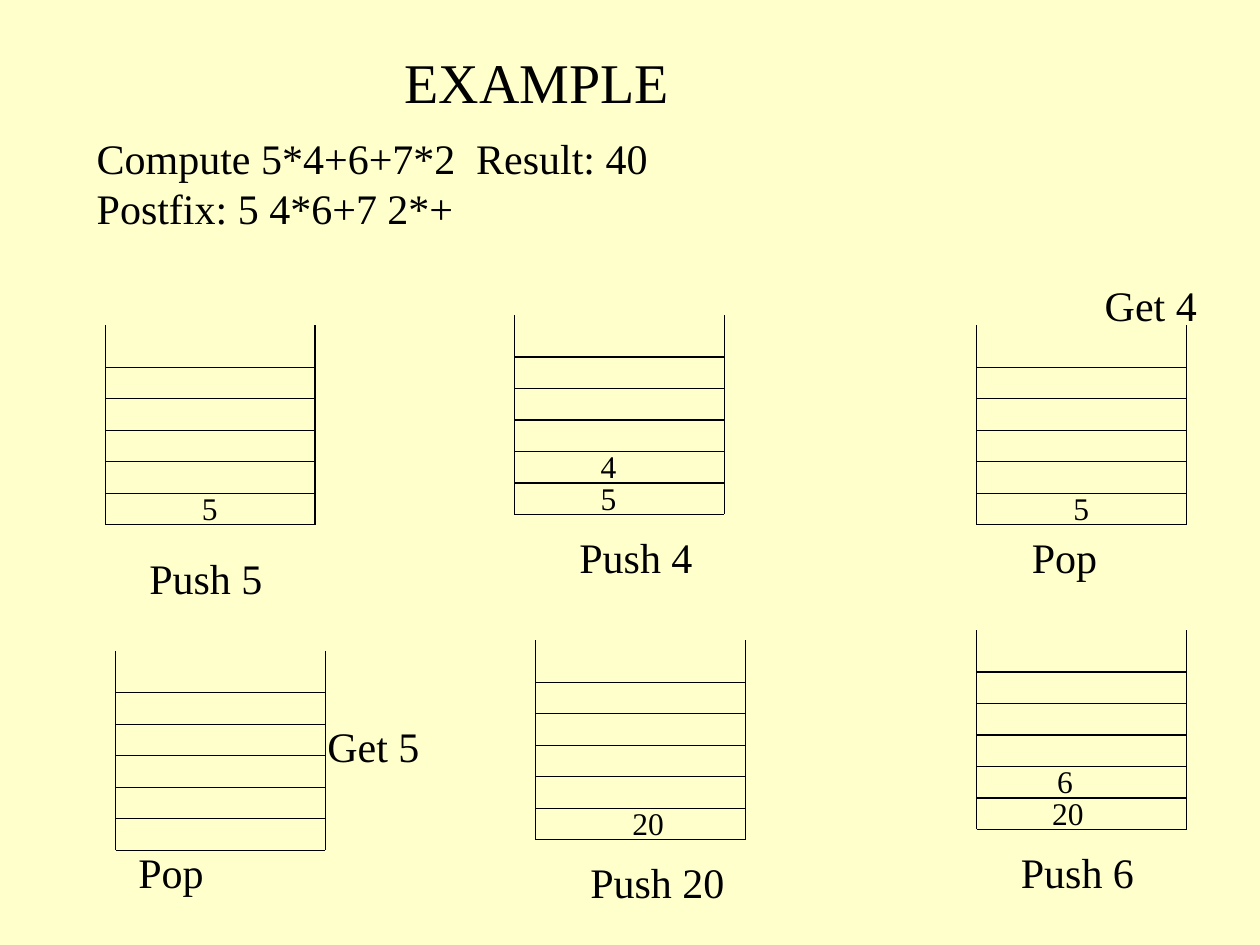
from lxml import etree
from pptx import Presentation
from pptx.dml.color import RGBColor
from pptx.enum.shapes import MSO_CONNECTOR
from pptx.enum.text import MSO_AUTO_SIZE
from pptx.oxml.ns import qn
from pptx.util import Cm, Pt

STRAIGHT = MSO_CONNECTOR.STRAIGHT
GROW = MSO_AUTO_SIZE.SHAPE_TO_FIT_TEXT
FONT = "Times New Roman"
INK = "000000"
PAPER = "FFFFCC"
STACK_W, STACK_H = 4.23, 4.02
SLOT_H = 2.54 / 4
SLOTS = 5
LABEL_H = 1.27

# Each stack: left, top, values from the bottom up as (text, left, width),
# labels as (text, left, top, width, height, wrap); lefts and tops inside
# these are relative to the stack.
STACKS = [
    (2.12, 6.56, [("5", 1.7, 0.84)],
     [("Push 5", 0.64, 4.45, 3.61, LABEL_H, True)]),
    (10.37, 6.35, [("5", 1.49, 0.84), ("4", 1.49, 0.84)],
     [("Push 4", 1.06, 4.23, 2.79, LABEL_H, False)]),
    (19.69, 6.56, [("5", 1.7, 0.84)],
     [("Pop", 0.86, 4.02, 2.03, LABEL_H, False),
      ("Get 4", 2.33, -1.06, 2.54, LABEL_H, True)]),
    (2.33, 13.12, [],
     [("Pop", 0.21, 3.81, 6.15, 2.11, True),
      ("Get 5", 4.02, 1.27, 2.54, LABEL_H, True)]),
    (10.8, 12.91, [("20", 1.7, 1.9)],
     [("Push 20", 0.85, 4.23, 3.61, LABEL_H, True)]),
    (19.69, 12.7, [("20", 1.27, 1.9), ("6", 1.37, 1.9)],
     [("Push 6", 0.64, 4.23, 5.08, LABEL_H, True)]),
]


def color(hex_text):
    return RGBColor.from_string(hex_text)


def add_text(shapes, lines, left, top, width, height, size, wrap=True):
    s = shapes.add_textbox(Cm(left), Cm(top), Cm(width), Cm(height))
    tf = s.text_frame
    tf.word_wrap = wrap
    tf.auto_size = GROW
    for i, line in enumerate(lines):
        p = tf.paragraphs[0] if i == 0 else tf.add_paragraph()
        p.text = line
        p.font.name = FONT
        p.font.size = Pt(size)
        p.font.color.rgb = color(INK)
    return s


def add_line(shapes, x1, y1, x2, y2):
    s = shapes.add_connector(STRAIGHT, Cm(x1), Cm(y1), Cm(x2), Cm(y2))
    s.line.color.rgb = color(INK)
    s.line.width = Pt(0.75)
    etree.SubElement(s._element.spPr, qn("a:effectLst"))


def add_tab_stop(p, position):
    tabs = etree.Element(qn("a:tabLst"))
    etree.SubElement(tabs, qn("a:tab"), pos=str(Cm(position)), algn="l")
    p._p.get_or_add_pPr().insert(0, tabs)


def add_heading(slide, left, top, width):
    title = add_text(slide.shapes, ["EXAMPLE"], left + 3.38, top, 13.54, 1.63, 32)
    title.text_frame.margin_left = Cm(3.08)
    task = add_text(slide.shapes,
                    ["Compute 5*4+6+7*2\tResult: 40", "Postfix: 5 4*6+7 2*+"],
                    left, top + 1.7, width, 2.29, 24)
    add_tab_stop(task.text_frame.paragraphs[0], 7.65)


def add_stack(slide, left, top, values, labels):
    """Draw an open-topped stack with its values and the labels around it."""
    shapes = slide.shapes.add_group_shape().shapes
    right, bottom = left + STACK_W, top + STACK_H
    for x in (left, right):
        add_line(shapes, x, top, x, bottom)
    for i in range(SLOTS + 1):
        y = bottom - i * SLOT_H
        add_line(shapes, left, y, right, y)
    for i, (text, dx, width) in enumerate(values, start=1):
        add_text(shapes, [text], left + dx, bottom - i * SLOT_H - 0.21, width, 1.02, 18)
    for text, dx, dy, width, height, wrap in labels:
        add_text(slide.shapes, [text], left + dx, top + dy, width, height, 24, wrap)


def main():
    prs = Presentation()
    prs.slide_width, prs.slide_height = Cm(25.4), Cm(19.05)
    slide = prs.slides.add_slide(prs.slide_layouts[6])
    fill = slide.background.fill
    fill.solid()
    fill.fore_color.rgb = color(PAPER)
    add_heading(slide, 1.7, 0.84, 23.06)
    for stack in STACKS:
        add_stack(slide, *stack)
    prs.save("out.pptx")


if __name__ == "__main__":
    main()
